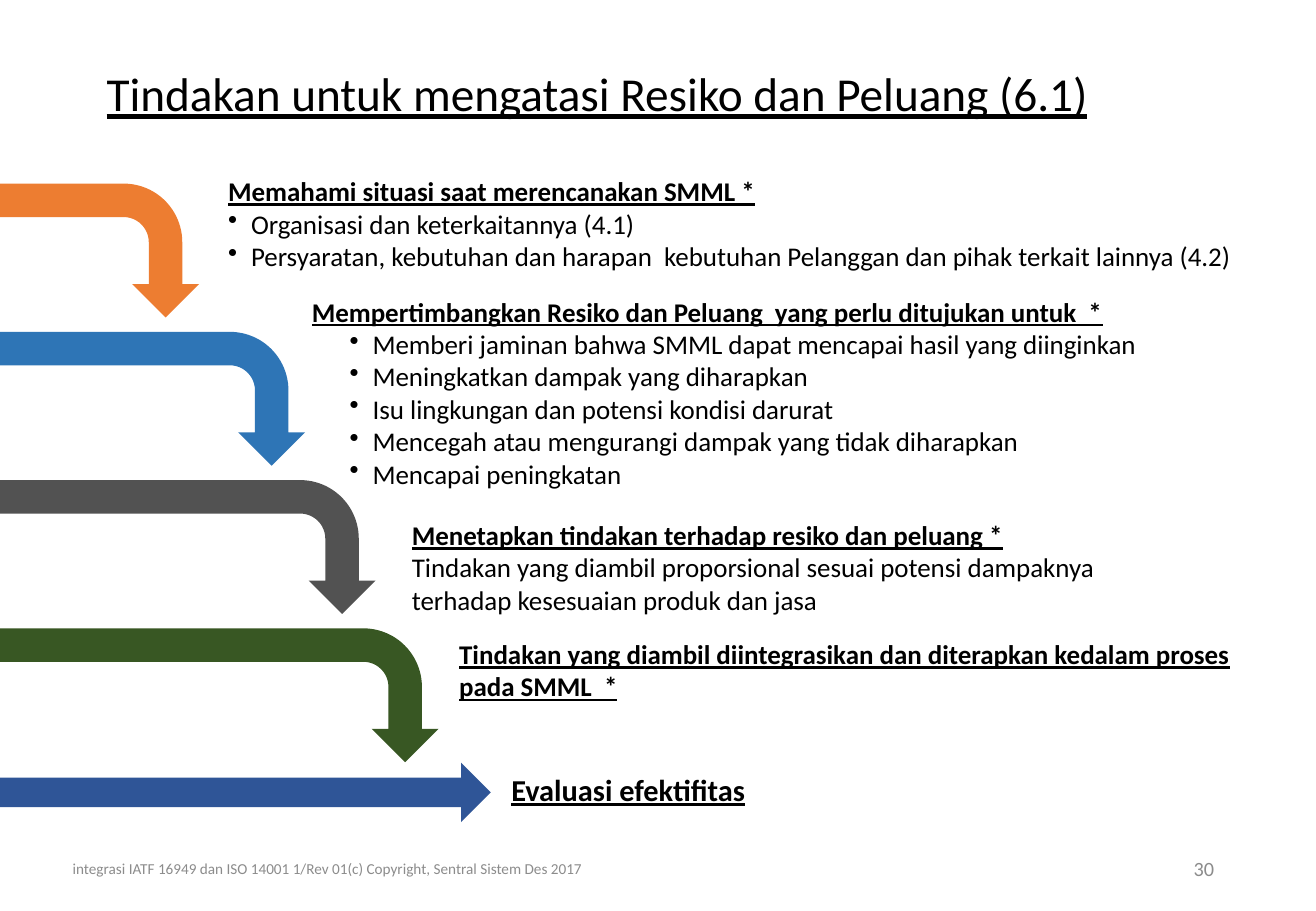
from pptx import Presentation
from pptx.dml.color import RGBColor
from pptx.enum.shapes import MSO_SHAPE
from pptx.enum.text import MSO_ANCHOR, PP_ALIGN
from pptx.oxml.xmlchemy import OxmlElement
from pptx.util import Cm, Pt

COLOURS = {
    "text": "000000",
    "footer": "8C8C8C",
    "understand": "ED7D31",
    "consider": "2E75B6",
    "decide": "525252",
    "integrate": "385723",
    "evaluate": "2F5597",
}


class StepSlide:
    """Holds the style and the current slide."""

    font_name = "Calibri"
    body_size = 16
    hanging = 0.48

    def __init__(self, slide):
        self.slide = slide

    def box(self, left, top, width, height, anchor=MSO_ANCHOR.TOP):
        frame = self.slide.shapes.add_textbox(
            Cm(left), Cm(top), Cm(width), Cm(height)).text_frame
        frame.word_wrap = True
        frame.vertical_anchor = anchor
        return frame

    def style(self, paragraph, size, colour="text", bold=False, underline=False):
        font = paragraph.font
        font.name = self.font_name
        font.size = Pt(size)
        font.color.rgb = RGBColor.from_string(COLOURS[colour])
        font.bold = bold
        font.underline = underline

    def line(self, place, text, size, colour="text", underline=False,
             align=PP_ALIGN.LEFT, spacing=1.0):
        paragraph = self.box(*place, anchor=MSO_ANCHOR.MIDDLE).paragraphs[0]
        paragraph.text = text
        paragraph.alignment = align
        paragraph.line_spacing = spacing
        self.style(paragraph, size, colour, underline=underline)

    def bullet(self, paragraph, indent):
        properties = paragraph._p.get_or_add_pPr()
        properties.set("marL", str(Cm(indent)))
        properties.set("indent", str(-Cm(self.hanging)))
        mark = OxmlElement("a:buChar")
        mark.set("char", "•")
        properties.append(mark)

    def step(self, place, heading, details=(), indent=None, size=body_size):
        frame = self.box(*place)
        title = frame.paragraphs[0]
        title.text = heading
        self.style(title, size, bold=True, underline=True)
        for detail in details:
            paragraph = frame.add_paragraph()
            paragraph.text = detail
            if indent:
                self.bullet(paragraph, indent)
            self.style(paragraph, size)

    def arrow(self, kind, left, top, width, height, colour, rotation=0):
        shape = self.slide.shapes.add_shape(
            kind, Cm(left), Cm(top), Cm(width), Cm(height))
        shape.rotation = rotation
        shape.shadow.inherit = False
        shape.fill.solid()
        shape.fill.fore_color.rgb = RGBColor.from_string(COLOURS[colour])
        shape.line.fill.background()

    def bent_arrow(self, top, reach, drop, colour):
        """Runs from the left slide edge to reach, then turns down by drop."""
        self.arrow(MSO_SHAPE.BENT_ARROW, (reach - drop) / 2,
                   top + (drop - reach) / 2, drop, reach, colour, rotation=90)


def main():
    presentation = Presentation()
    presentation.slide_width = Cm(27.51)
    presentation.slide_height = Cm(19.05)
    page = StepSlide(presentation.slides.add_slide(presentation.slide_layouts[6]))

    # Title
    page.line((1.98, 0.43, 22.86, 3.18),
              "Tindakan untuk mengatasi Resiko dan Peluang (6.1)",
              28, underline=True, spacing=0.9)

    # Steps
    page.step((4.52, 3.53, 23.06, 2.31),
              "Memahami situasi saat merencanakan SMML *",
              ["Organisasi dan keterkaitannya (4.1)",
               "Persyaratan, kebutuhan dan harapan  kebutuhan Pelanggan "
               "dan pihak terkait lainnya (4.2)"],
              indent=0.48)
    page.step((6.27, 6.05, 18.44, 4.37),
              "Mempertimbangkan Resiko dan Peluang  yang perlu ditujukan untuk  *",
              ["Memberi jaminan bahwa SMML dapat mencapai hasil yang diinginkan",
               "Meningkatkan dampak yang diharapkan",
               "Isu lingkungan dan potensi kondisi darurat",
               "Mencegah atau mengurangi dampak yang tidak diharapkan",
               "Mencapai peningkatan"],
              indent=1.27)
    page.step((8.36, 10.72, 17.6, 2.39),
              "Menetapkan tindakan terhadap resiko dan peluang *",
              ["Tindakan yang diambil proporsional sesuai potensi dampaknya",
               "terhadap kesesuaian produk dan jasa"])
    page.step((9.35, 13.21, 17.53, 1.63),
              "Tindakan yang diambil diintegrasikan dan diterapkan kedalam "
              "proses pada SMML  *")
    page.step((10.44, 16, 5.46, 1.02), "Evaluasi efektifitas", size=18)

    # Arrows leading from each step to the next
    first_top, pitch, drop = 3.84, 3.1, 2.8
    reaches = {"understand": 4.16, "consider": 6.38,
               "decide": 7.85, "integrate": 9.17}
    for row, (colour, reach) in enumerate(reaches.items()):
        page.bent_arrow(first_top + row * pitch, reach, drop, colour)
    page.arrow(MSO_SHAPE.RIGHT_ARROW, 0, 15.95, 10.26, 1.24, "evaluate")

    # Footer
    page.line((1.27, 17.65, 15.04, 1.02),
              "integrasi IATF 16949 dan ISO 14001 1/Rev 01(c) Copyright, "
              "Sentral Sistem Des 2017", 9, "footer")
    page.line((19.43, 17.65, 6.2, 1.02), "30", 12, "footer",
              align=PP_ALIGN.RIGHT)

    presentation.save("out.pptx")


if __name__ == "__main__":
    main()
